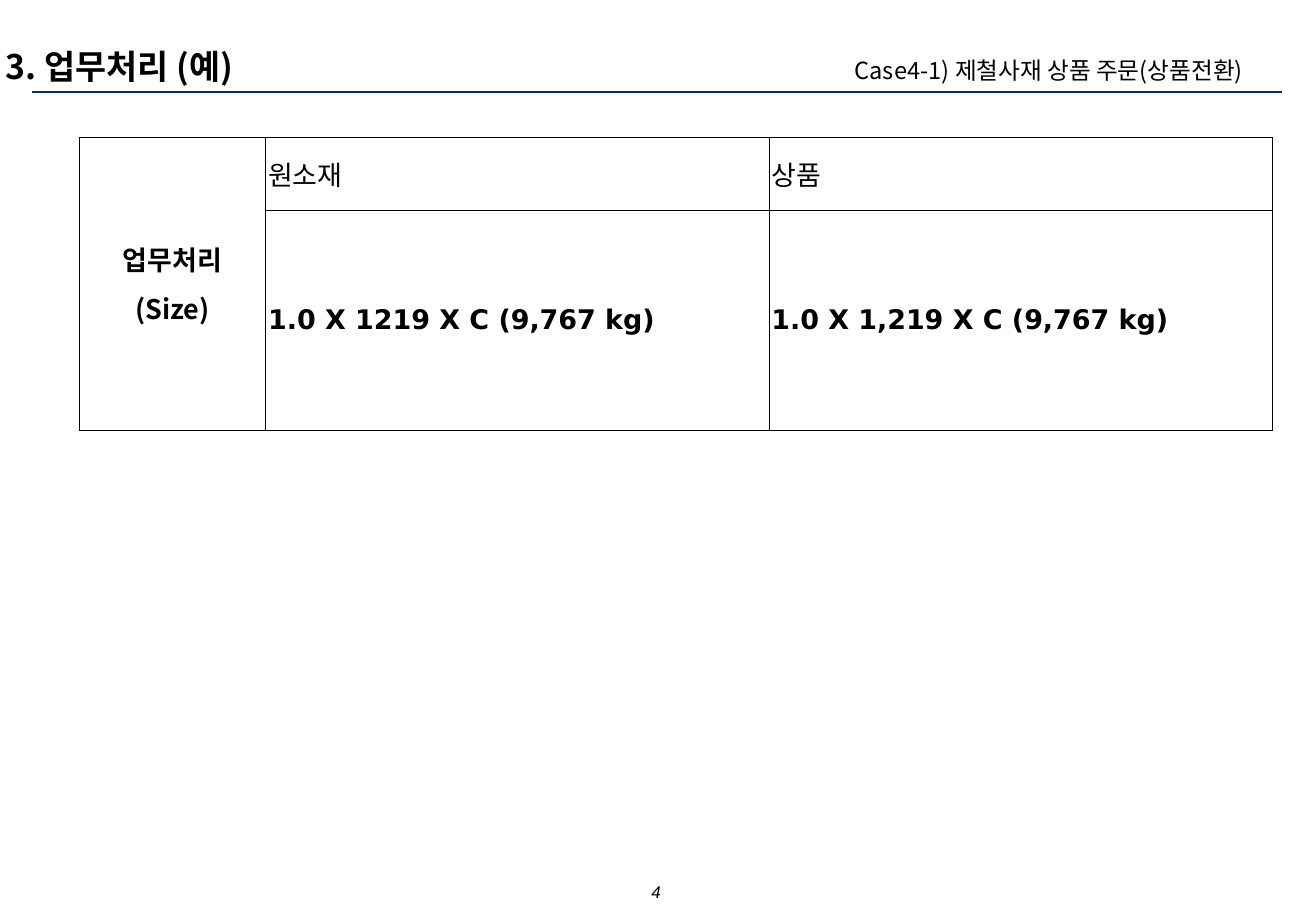
from dataclasses import dataclass

from lxml import etree
from pptx import Presentation
from pptx.dml.color import RGBColor
from pptx.enum.shapes import MSO_CONNECTOR
from pptx.enum.text import MSO_ANCHOR, PP_ALIGN
from pptx.oxml.ns import qn
from pptx.slide import Slide
from pptx.table import _Cell
from pptx.text.text import TextFrame
from pptx.util import Inches, Pt

LEFT, CENTER = PP_ALIGN.LEFT, PP_ALIGN.CENTER
TOP, MIDDLE, BOTTOM = MSO_ANCHOR.TOP, MSO_ANCHOR.MIDDLE, MSO_ANCHOR.BOTTOM
STRAIGHT = MSO_CONNECTOR.STRAIGHT
WIDE, HIGH = Inches(10.84), Inches(7.5)


@dataclass(frozen=True)
class Theme:
    ink: str = "000000"
    paper: str = "FFFFFF"
    rule: str = "003366"
    sans: str = "Noto Sans CJK KR"
    plain: str = "DejaVu Sans"
    folio: str = "Arial"
    title: float = 20
    body: float = 16
    note: float = 14
    small: float = 10
    gap: float = 6
    thin: float = 0.45
    inset: float = 0.1


@dataclass(frozen=True)
class Box:
    x: float
    y: float
    w: float
    h: float


@dataclass(frozen=True)
class Label:
    text: str
    box: Box
    size: float
    font: str
    bold: bool = False
    italic: bool = False
    align: PP_ALIGN = LEFT
    anchor: MSO_ANCHOR = TOP
    left: float = 0.1


@dataclass(frozen=True)
class Entry:
    row: int
    col: int
    text: str
    font: str
    bold: bool = False
    align: PP_ALIGN = LEFT


THEME = Theme()
LABELS = [
    Label("3. 업무처리 (예)", Box(-0.46, 1.2, 22.79, 8.93), THEME.title,
          THEME.sans, bold=True, anchor=BOTTOM),
    Label("Case4-1) 제철사재 상품 주문(상품전환)", Box(60.79, 5.47, 39.21, 4.53),
          THEME.note, THEME.sans, left=0.45),
    Label("4", Box(38.19, 96.13, 23.34, 2.93), THEME.small, THEME.folio,
          italic=True, align=CENTER),
]
RULE = Box(2.4, 10.13, 95.02, 0)
GRID = Box(6, 15.07, 90.68, 32.13)
COLS = [14.2, 38.24, 38.24]
ROWS = [8, 24.13]
ENTRIES = [
    Entry(0, 0, "업무처리\n(Size)", THEME.sans, bold=True, align=CENTER),
    Entry(0, 1, "원소재", THEME.plain),
    Entry(0, 2, "상품", THEME.plain),
    Entry(1, 1, "1.0 X 1219 X C (9,767 kg)", THEME.plain, bold=True),
    Entry(1, 2, "1.0 X 1,219 X C (9,767 kg)", THEME.plain, bold=True),
]


def across(share: float) -> int:
    return round(WIDE * share / 100)


def down(share: float) -> int:
    return round(HIGH * share / 100)


def place(box: Box) -> tuple[int, int, int, int]:
    return across(box.x), down(box.y), across(box.w), down(box.h)


def write(frame: TextFrame, text: str, *, size: float, font: str,
          bold: bool = False, italic: bool = False,
          align: PP_ALIGN = LEFT) -> None:
    for i, line in enumerate(text.split("\n")):
        para = frame.add_paragraph() if i else frame.paragraphs[0]
        para.alignment = align
        if i:
            para.space_before = Pt(THEME.gap)
        run = para.add_run()
        run.text = line
        run.font.name = font
        run.font.size = Pt(size)
        run.font.bold = bold
        run.font.italic = italic
        run.font.color.rgb = RGBColor.from_string(THEME.ink)
        props = run._r.get_or_add_rPr()
        etree.SubElement(props, qn("a:ea"), typeface=THEME.sans)


def draw_label(slide: Slide, label: Label) -> None:
    frame = slide.shapes.add_textbox(*place(label.box)).text_frame
    frame.word_wrap = True
    frame.vertical_anchor = label.anchor
    frame.margin_left = Inches(label.left)
    frame.margin_right = Inches(THEME.inset / 2)
    if label.align == CENTER:
        frame.margin_right = frame.margin_left
    write(frame, label.text, size=label.size, font=label.font,
          bold=label.bold, italic=label.italic, align=label.align)


def draw_rule(slide: Slide, box: Box) -> None:
    x, y, w, h = place(box)
    line = slide.shapes.add_connector(STRAIGHT, x, y, x + w, y + h)
    line.line.color.rgb = RGBColor.from_string(THEME.rule)
    line.line.width = Pt(1)
    etree.SubElement(line._element.spPr, qn("a:effectLst"))


def style(cell: _Cell) -> None:
    cell.vertical_anchor = MIDDLE
    cell.margin_left = cell.margin_right = Inches(0.02)
    cell.margin_top = cell.margin_bottom = Inches(0.05)
    cell.fill.solid()
    cell.fill.fore_color.rgb = RGBColor.from_string(THEME.paper)
    props = cell._tc.get_or_add_tcPr()
    for i, side in enumerate(("lnL", "lnR", "lnT", "lnB")):
        edge = etree.Element(qn(f"a:{side}"), w=str(int(Pt(THEME.thin))))
        fill = etree.SubElement(edge, qn("a:solidFill"))
        etree.SubElement(fill, qn("a:srgbClr"), val=THEME.ink)
        props.insert(i, edge)


def draw_table(slide: Slide) -> None:
    table = slide.shapes.add_table(len(ROWS), len(COLS), *place(GRID)).table
    table.first_row = table.horz_banding = False
    for col, share in zip(table.columns, COLS):
        col.width = across(share)
    for row, share in zip(table.rows, ROWS):
        row.height = down(share)
    for cell in table.iter_cells():
        style(cell)
    table.cell(0, 0).merge(table.cell(1, 0))
    for entry in ENTRIES:
        write(table.cell(entry.row, entry.col).text_frame, entry.text,
              size=THEME.body, font=entry.font, bold=entry.bold,
              align=entry.align)


def main() -> None:
    deck = Presentation()
    deck.slide_width, deck.slide_height = WIDE, HIGH
    slide = deck.slides.add_slide(deck.slide_layouts[6])
    draw_rule(slide, RULE)
    draw_table(slide)
    for label in LABELS:
        draw_label(slide, label)
    deck.save("out.pptx")


if __name__ == "__main__":
    main()
